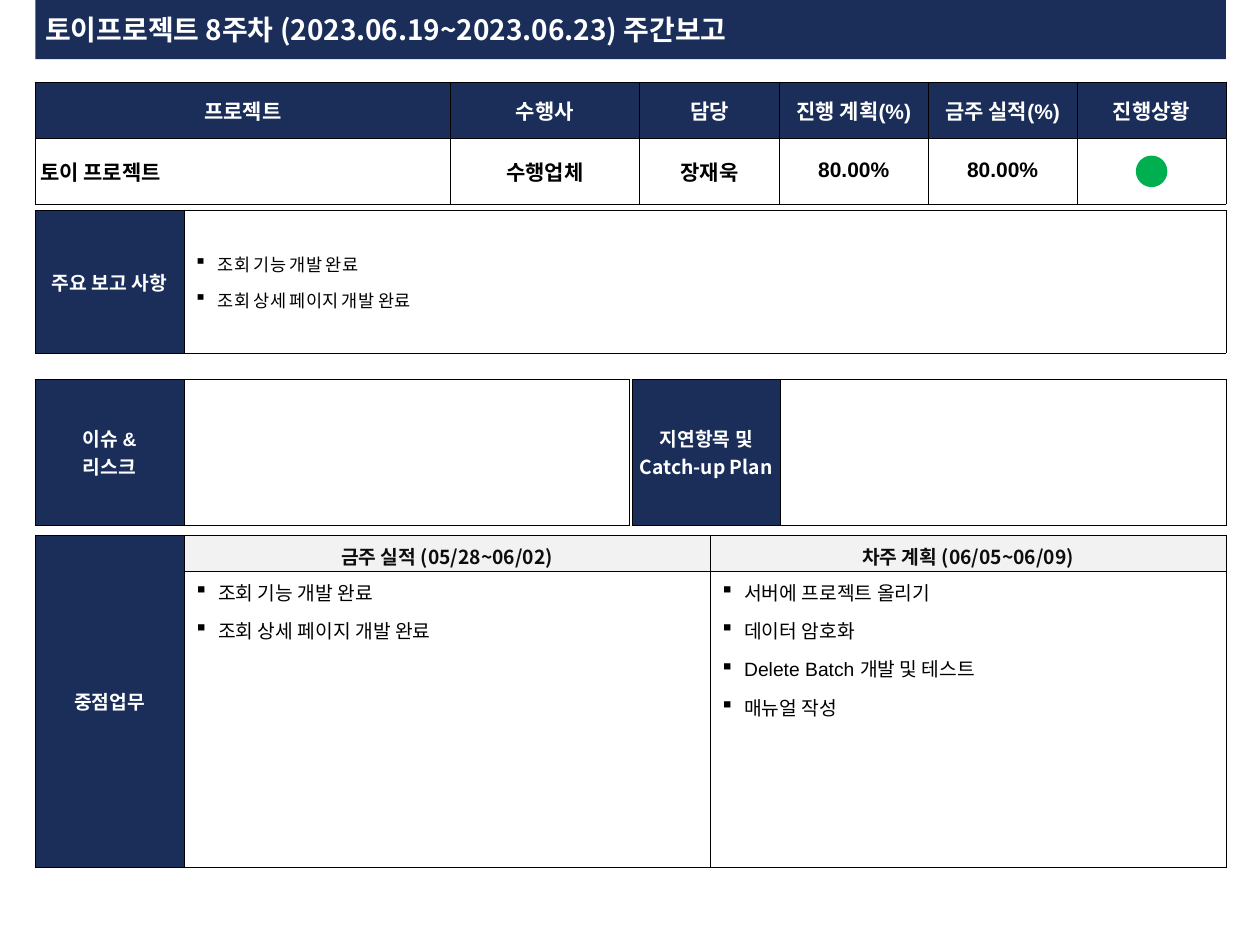
from lxml.etree import SubElement
from pptx import Presentation
from pptx.dml.color import RGBColor
from pptx.enum.shapes import MSO_SHAPE
from pptx.enum.text import MSO_ANCHOR, MSO_AUTO_SIZE, PP_ALIGN
from pptx.oxml.ns import qn
from pptx.util import Inches, Pt

NAVY, WHITE, BLACK, GREEN = "1B2E5A", "FFFFFF", "000000", "00B050"
PALE, INK = "F2F2F2", "0D0D0D"
KOREAN, LATIN = "Noto Sans CJK KR", "Arial"
LEFT, WIDTH, LABEL = 0.28, 9.45, 1.18
GUTTER = 0.02


def rgb(hex_code):
    return RGBColor.from_string(hex_code)


def add_text(paragraph, words, size, color, bold=True, font=KOREAN):
    run = paragraph.add_run()
    run.text = words
    run.font.size, run.font.bold, run.font.name = Pt(size), bold, font
    run.font.color.rgb = rgb(color)
    east_asian = SubElement(run.font._element, qn("a:ea"))
    east_asian.set("typeface", KOREAN)


def set_margins(target, sides, ends, left=None):
    target.margin_left = Inches(sides if left is None else left)
    target.margin_right = Inches(sides)
    target.margin_top = target.margin_bottom = Inches(ends)


def add_shape(slide, kind, box, color):
    shape = slide.shapes.add_shape(kind, *map(Inches, box))
    shape.shadow.inherit = False
    shape.fill.solid()
    shape.fill.fore_color.rgb = rgb(color)
    shape.line.fill.background()
    return shape


def add_grid(slide, box, columns, rows):
    """Add an unfilled table with thin black borders; columns are shares of the box."""
    left, top, width, height = box
    table = slide.shapes.add_table(len(rows), len(columns), *map(Inches, box)).table
    table.first_row = table.horz_banding = False
    for column, share in zip(table.columns, columns):
        column.width = Inches(width * share / sum(columns))
    for row, share in zip(table.rows, rows):
        row.height = Inches(height * share / sum(rows))
    for cell in table.iter_cells():
        properties = cell._tc.get_or_add_tcPr()
        for side in ("a:lnL", "a:lnR", "a:lnT", "a:lnB"):
            border = SubElement(properties, qn(side), w=str(Pt(0.25)))
            SubElement(SubElement(border, qn("a:solidFill")), qn("a:srgbClr"), val=BLACK)
        cell.fill.background()
    return table


def fill_cell(cell, lines, size, color, fill=None, font=KOREAN, align=PP_ALIGN.CENTER,
              before=0, ends=0.05):
    cell.vertical_anchor = MSO_ANCHOR.MIDDLE
    set_margins(cell, 0.04, ends)
    if fill:
        cell.fill.solid()
        cell.fill.fore_color.rgb = rgb(fill)
    for index, line in enumerate(lines):
        frame = cell.text_frame
        paragraph = frame.add_paragraph() if index else frame.paragraphs[0]
        paragraph.alignment = align
        paragraph.space_before = Pt(before)
        add_text(paragraph, line, size, color, font=font)


def fill_bullets(cell, items, size, anchor=MSO_ANCHOR.TOP):
    cell.vertical_anchor = anchor
    set_margins(cell, 0.04, 0.05, left=0.08)
    for index, item in enumerate(items):
        frame = cell.text_frame
        paragraph = frame.add_paragraph() if index else frame.paragraphs[0]
        paragraph.space_after = Pt(6)
        properties = paragraph._p.get_or_add_pPr()
        properties.set("marL", str(Inches(0.19)))
        properties.set("indent", str(-Inches(0.19)))
        SubElement(properties, qn("a:buChar"), char="▪")
        add_text(paragraph, item, size, BLACK, bold=False, font=LATIN)


def add_heading(slide, box, words):
    left, top, width, height = box
    band = add_shape(slide, MSO_SHAPE.RECTANGLE, box, NAVY)
    title = slide.shapes.title
    band._element.addnext(title._element)
    title.left, title.top = Inches(left), Inches(top + 0.06)
    title.width, title.height = Inches(5.85), Inches(height - 0.12)
    frame = title.text_frame
    frame.word_wrap = False
    frame.auto_size = MSO_AUTO_SIZE.SHAPE_TO_FIT_TEXT
    frame.vertical_anchor = MSO_ANCHOR.MIDDLE
    set_margins(frame, 0.08, 0.04)
    frame.paragraphs[0].alignment = PP_ALIGN.LEFT
    add_text(frame.paragraphs[0], words, 16, WHITE)


def add_status(slide, box, headings, values):
    left, top, width, height = box
    columns, rows = (3.29, 1.5, 1.11, 1.18, 1.18, 1.18), (0.45, 0.52)
    table = add_grid(slide, box, columns, rows)
    for index, heading in enumerate(headings):
        fill_cell(table.cell(0, index), [heading], 12, WHITE, NAVY, LATIN,
                  before=2.4, ends=0.04)
    for index, value in enumerate(values):
        align = PP_ALIGN.CENTER if index else PP_ALIGN.LEFT
        font = KOREAN if index < 2 else LATIN
        fill_cell(table.cell(1, index), [value], 12, BLACK, None, font, align,
                  before=6 if index == 2 else 2.4, ends=0.04)
        if value.endswith("%"):
            table.cell(1, index).text_frame.paragraphs[0].line_spacing = 0.9
    diameter = 0.24
    center_x = left + width - columns[-1] / 2
    center_y = top + height - rows[-1] / 2
    light = add_shape(slide, MSO_SHAPE.OVAL, (center_x - diameter / 2, center_y - diameter / 2,
                                              diameter, diameter), GREEN)
    light.line.color.rgb = rgb(GREEN)
    light.line.width = Pt(0.75)


def add_labelled_panel(slide, box, label_lines, items=(), font=KOREAN):
    table = add_grid(slide, box, (LABEL, box[2] - LABEL), (1,))
    fill_cell(table.cell(0, 0), label_lines, 11, WHITE, NAVY, font)
    fill_bullets(table.cell(0, 1), items, 10, MSO_ANCHOR.MIDDLE)


def add_key_tasks(slide, box, label, plans):
    table = add_grid(slide, box, (LABEL, 4.17, 4.09), (0.26, 2.35))
    table.cell(0, 0).merge(table.cell(1, 0))
    fill_cell(table.cell(0, 0), [label], 11, WHITE, NAVY)
    for column, (period, tasks) in enumerate(plans.items(), start=1):
        fill_cell(table.cell(0, column), [period], 11, INK, PALE, before=2.2)
        fill_bullets(table.cell(1, column), tasks, 11)


def main():
    deck = Presentation()
    deck.slide_width, deck.slide_height = Inches(10), Inches(7.5)
    slide = deck.slides.add_slide(deck.slide_layouts[5])
    done = ["조회 기능 개발 완료", "조회 상세 페이지 개발 완료"]

    add_heading(slide, (LEFT, 0, WIDTH, 0.47),
                "토이프로젝트 8주차 (2023.06.19~2023.06.23) 주간보고")
    add_status(slide, (LEFT, 0.65, WIDTH, 0.97),
               ["프로젝트", "수행사", "담당", "진행 계획(%)", "금주 실적(%)", "진행상황"],
               ["토이 프로젝트", "수행업체", "장재욱", "80.00%", "80.00%"])
    add_key_tasks(slide, (LEFT, 4.25, WIDTH, 2.61), "중점업무", {
        "금주 실적 (05/28~06/02)": done,
        "차주 계획 (06/05~06/09)": ["서버에 프로젝트 올리기", "데이터 암호화",
                                "Delete Batch 개발 및 테스트", "매뉴얼 작성"],
    })
    add_labelled_panel(slide, (LEFT, 1.67, WIDTH, 1.13), ["주요 보고 사항"], done, LATIN)
    half = (WIDTH - GUTTER) / 2
    add_labelled_panel(slide, (LEFT, 3.01, half, 1.16), ["이슈 &", "리스크"], font=LATIN)
    add_labelled_panel(slide, (LEFT + half + GUTTER, 3.01, half, 1.16),
                       ["지연항목 및", "Catch-up Plan"])
    deck.save("out.pptx")


if __name__ == "__main__":
    main()
